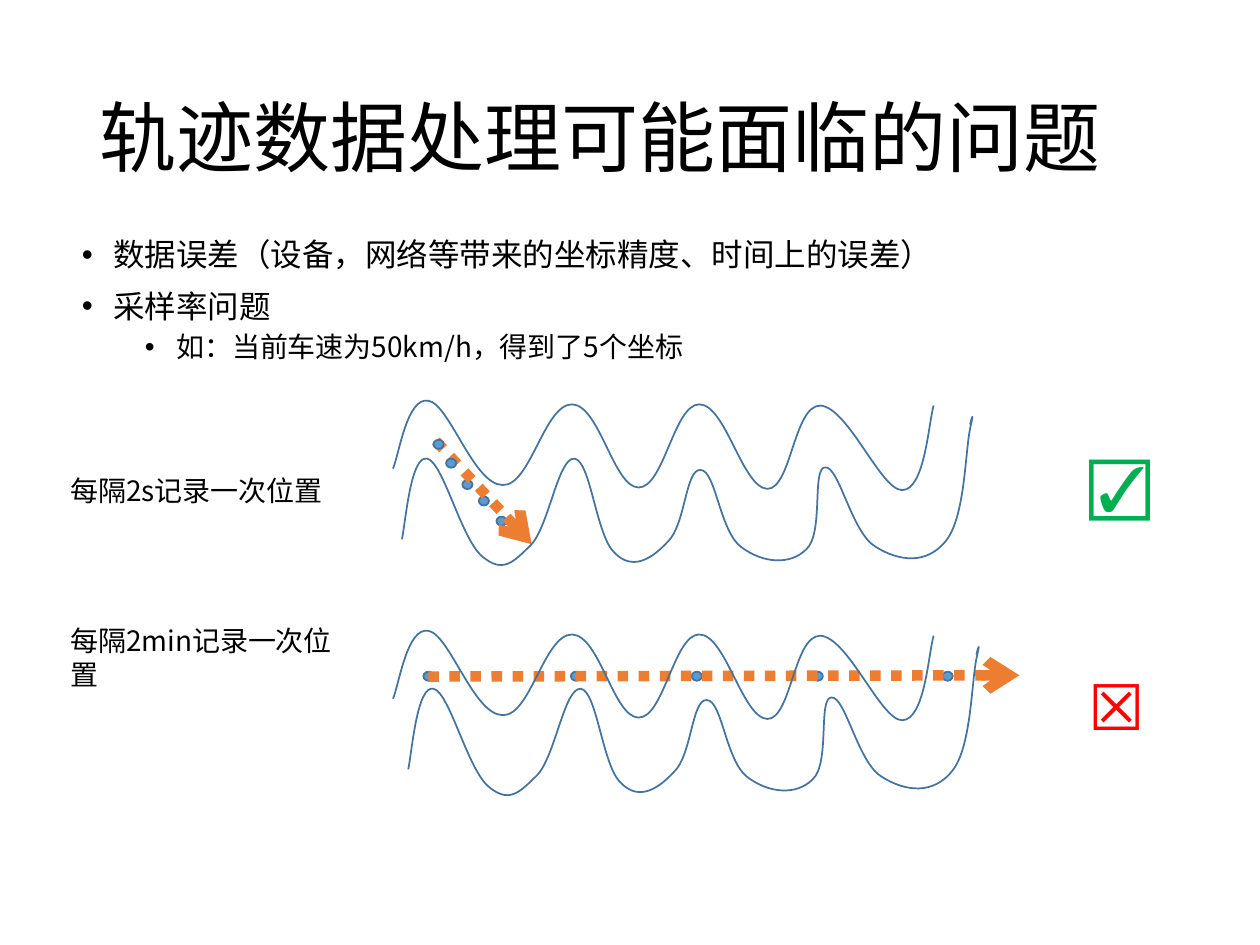
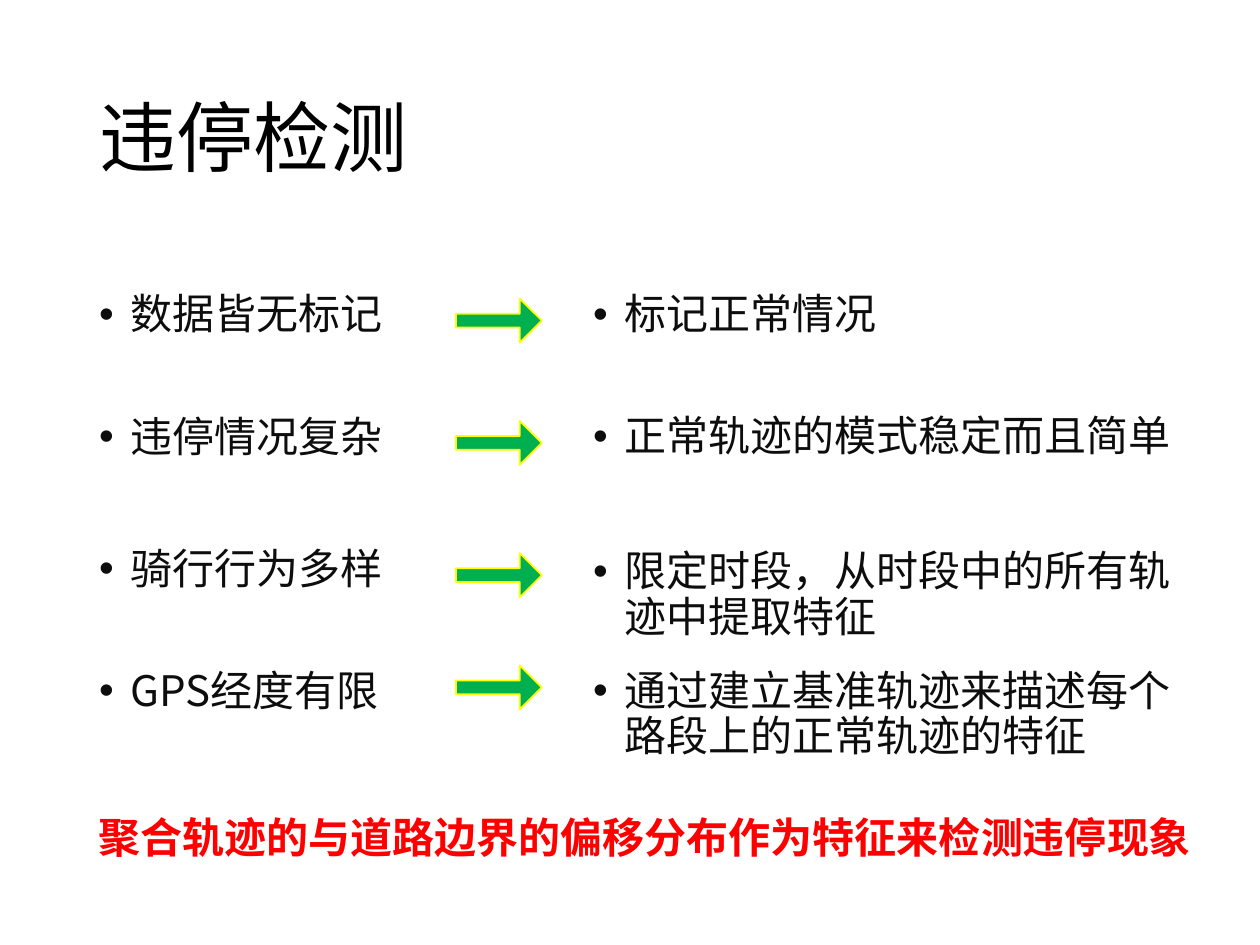
from pptx import Presentation
from pptx.dml.color import RGBColor
from pptx.enum.shapes import MSO_CONNECTOR as Connector, MSO_SHAPE as Shape
from pptx.enum.text import MSO_ANCHOR as Anchor, MSO_AUTO_SIZE as AutoSize, PP_ALIGN as Align
from pptx.oxml.ns import qn
from pptx.util import Pt
from lxml.etree import SubElement

BLACK = RGBColor(0x00, 0x00, 0x00)
INK = RGBColor(0x0D, 0x0D, 0x0D)
RED = RGBColor(0xFF, 0x00, 0x00)
GREEN = RGBColor(0x00, 0xB0, 0x50)
YELLOW = RGBColor(0xFF, 0xFF, 0x00)
BLUE = RGBColor(0x5B, 0x9B, 0xD5)
NAVY = RGBColor(0x43, 0x73, 0x9E)
ORANGE = RGBColor(0xED, 0x7D, 0x31)
CJK, LATIN = "Noto Sans CJK SC", "Arial"
LEFT = 49.5

# Road edges: a start point, then three points for each curve segment
UPPER_EDGE = [
    (224.6, 267.8),
    (228.2, 259.2), (232.6, 226.8), (244.8, 229), (257, 231.1), (270.7, 277.2), (287.3, 277.2),
    (303.1, 277.9), (311, 231.1), (326.9, 231.1), (342.7, 231.5), (350.6, 278.6), (365, 278.6),
    (379.4, 278.6), (385.2, 231.1), (399.6, 231.1), (414.7, 231.1), (424.1, 278.6), (438.5, 279.4),
    (452.2, 279.4), (453.6, 231.8), (468.7, 231.8), (484.6, 232.6), (503.3, 280.1), (515.5, 280.1),
    (528.5, 280.1), (530.6, 241.9), (533.5, 231.8),
]
LOWER_EDGE = [
    (229.7, 308.2),
    (231.8, 298.1), (234.7, 259.9), (244.1, 262.1), (253.4, 264.2), (263.5, 308.2), (275.8, 318.2),
    (287.3, 327.6), (293, 321.8), (303.8, 311), (313.9, 299.5), (319, 261.4), (328.3, 262.1),
    (337.7, 263.5), (340.6, 306.7), (351.4, 316.1), (361.4, 326.2), (372.2, 319.7), (381.6, 309.6),
    (391.7, 300.2), (391.7, 267.8), (400.3, 268.6), (409, 268.6), (411.1, 303.1), (423.4, 312.5),
    (435.6, 321.8), (451.4, 323.3), (460.8, 313.9), (470.9, 304.6), (463.7, 267.1), (471.6, 267.1),
    (479.5, 266.4), (486.7, 304.6), (500.4, 312.5), (514.1, 321.1), (529.9, 322.6), (540.7, 308.9),
    (551.5, 295.2), (551.5, 258.5), (554.4, 244.8), (557.3, 231.8), (554.4, 241.9), (554.4, 242.6),
]


def write(para, text, size=24, color=BLACK, bold=False, font=CJK):
    span = para.add_run()
    span.text = text
    span.font.size, span.font.bold, span.font.name = Pt(size), bold, font
    span.font.color.rgb = color
    SubElement(span.font._element, qn("a:ea"), typeface=font)


class Deck:
    def __init__(self):
        self.deck = Presentation()
        self.deck.slide_width, self.deck.slide_height = Pt(720), Pt(540)
        self.page = None

    def add_page(self, title, width):
        self.page = self.deck.slides.add_slide(self.deck.slide_layouts[1])
        box = self.place(self.page.shapes.title, LEFT, 28.8, width, 104.4)
        box.text_frame.vertical_anchor = Anchor.MIDDLE
        para = box.text_frame.paragraphs[0]
        para.alignment, para.line_spacing = Align.LEFT, 0.9
        write(para, title, size=44)

    def place(self, box, left, top, width, height):
        box.left, box.top, box.width, box.height = Pt(left), Pt(top), Pt(width), Pt(height)
        box.text_frame.word_wrap = True
        box.text_frame.auto_size = AutoSize.NONE
        return box

    def text_box(self, left, top, width, height):
        box = self.page.shapes.add_textbox(0, 0, 0, 0)
        return self.place(box, left, top, width, height)

    def label(self, text, left, top, width, height, **style):
        box = self.text_box(left, top, width, height)
        write(box.text_frame.paragraphs[0], text, **style)

    def body(self, left, top, width, height):
        return self.place(self.page.placeholders[1], left, top, width, height)

    def bullets(self, box, items, color):
        """Fill a box with (text, level, size) items."""
        for index, (text, level, size) in enumerate(items):
            frame = box.text_frame
            para = frame.add_paragraph() if index else frame.paragraphs[0]
            para.level, para.line_spacing = level, 0.9
            para.space_before = Pt((5 if level else 10) if index else 0)
            props = para._p.get_or_add_pPr()
            props.set("marL", str(Pt(18 + 36 * level)))
            props.set("indent", str(Pt(-18)))
            SubElement(props, qn("a:buFont"), typeface=LATIN)
            SubElement(props, qn("a:buChar"), char="•")
            write(para, text, size=size, color=color)

    def shape(self, kind, left, top, width, height, fill, line):
        shape = self.page.shapes.add_shape(kind, Pt(left), Pt(top), Pt(width), Pt(height))
        shape.shadow.inherit = False
        shape.fill.solid()
        shape.fill.fore_color.rgb = fill
        shape.line.color.rgb, shape.line.width = line, Pt(1)
        return shape

    def dots(self, points):
        for left, top in points:
            self.shape(Shape.OVAL, left, top, 5.8, 5.2, BLUE, NAVY)

    def dotted_arrow(self, x1, y1, x2, y2):
        arrow = self.page.shapes.add_connector(
            Connector.STRAIGHT, Pt(x1), Pt(y1), Pt(x2), Pt(y2))
        arrow.line.color.rgb, arrow.line.width = ORANGE, Pt(6)
        line = arrow.line._get_or_add_ln()
        SubElement(line, qn("a:prstDash"), val="sysDot")
        SubElement(line, qn("a:tailEnd"), type="arrow")
        SubElement(arrow._element.spPr, qn("a:effectLst"))

    def curve(self, points, dx=0, dy=0):
        start, *rest = [(Pt(x + dx), Pt(y + dy)) for x, y in points]
        builder = self.page.shapes.build_freeform(*start)
        builder.add_line_segments(rest, close=False)
        curve = builder.convert_to_shape()
        curve.shadow.inherit = False
        curve.fill.background()
        curve.line.color.rgb, curve.line.width = NAVY, Pt(1)
        # Join every three straight segments into one Bézier segment
        lines = list(curve._element.iter(qn("a:lnTo")))
        outline = lines[0].getparent()
        for first in range(0, len(lines), 3):
            bezier = SubElement(outline, qn("a:cubicBezTo"))
            for line in lines[first:first + 3]:
                bezier.append(line[0])
                outline.remove(line)


def sampling_page(deck):
    deck.add_page("轨迹数据处理可能面临的问题", 620.6)
    deck.bullets(deck.body(39.6, 133.2, 640.8, 93.6), [
        ("数据误差（设备，网络等带来的坐标精度、时间上的误差）", 0, 18),
        ("采样率问题", 0, 18),
        ("如：当前车速为50km/h，得到了5个坐标", 1, 16),
    ], BLACK)

    # Sampled positions and inferred tracks
    deck.dots([(264.2, 274.3), (273.6, 283.7), (283.7, 295.2)])
    deck.dots([(left, 383.8) for left in (241.9, 326.2, 395.3, 464.4, 538.6)])
    deck.dotted_arrow(249.1, 252, 303.8, 311)
    deck.dotted_arrow(244.8, 386.6, 582.5, 385.9)

    # The same road twice
    for lower_shift, drop in ((0, 0), (3.6, 131.5)):
        deck.curve(UPPER_EDGE, dy=drop)
        deck.curve(LOWER_EDGE, dx=lower_shift, dy=drop)
    deck.dots([(247.7, 251.3), (254.9, 262.1)])

    # Sampling intervals and verdicts
    deck.label("每隔2s记录一次位置", 33.1, 267.1, 159.8, 26.6, size=16)
    deck.label("每隔2min记录一次位置", 33.1, 352.8, 177.1, 26.6, size=16)
    for mark, top, color in (("☑", 251.3, GREEN), ("☒", 378, RED)):
        deck.label(mark, 614.9, top, 48.2, 51.1, size=36, color=color, bold=True, font=LATIN)


def parking_page(deck):
    deck.add_page("违停检测", 192)
    # Problem, its top and height; arrow top; answer, its top, width and height
    rows = [
        ("数据皆无标记", 164.2, 38.9, 170.6, "标记正常情况", 164.2, 203, 38.9),
        ("违停情况复杂", 234, 44.6, 240.5, "正常轨迹的模式稳定而且简单", 234, 362.9, 38.2),
        ("骑行行为多样", 309.6, 38.9, 316.1, "限定时段，从时段中的所有轨迹中提取特征", 311, 352.1, 68.4),
        ("GPS经度有限", 379.4, 44.6, 380.2,
         "通过建立基准轨迹来描述每个路段上的正常轨迹的特征", 379.4, 352.1, 98.6),
    ]
    for index, (problem, top, height, arrow_top, answer, *answer_size) in enumerate(rows):
        make_box = deck.text_box if index else deck.body
        deck.bullets(make_box(LEFT, top, 217.4, height), [(problem, 0, 24)], INK)
        deck.bullets(deck.text_box(331.9, *answer_size), [(answer, 0, 24)], INK)
        arrow = deck.shape(Shape.RIGHT_ARROW, 260.6, arrow_top, 49, 25.2, GREEN, YELLOW)
        arrow.adjustments[0] = 0.31

    # Conclusion
    deck.label("聚合轨迹的与道路边界的偏移分布作为特征来检测违停现象",
               LEFT, 460.1, 648, 36, color=RED, bold=True)


def main():
    deck = Deck()
    sampling_page(deck)
    parking_page(deck)
    deck.deck.save("out.pptx")


if __name__ == "__main__":
    main()
